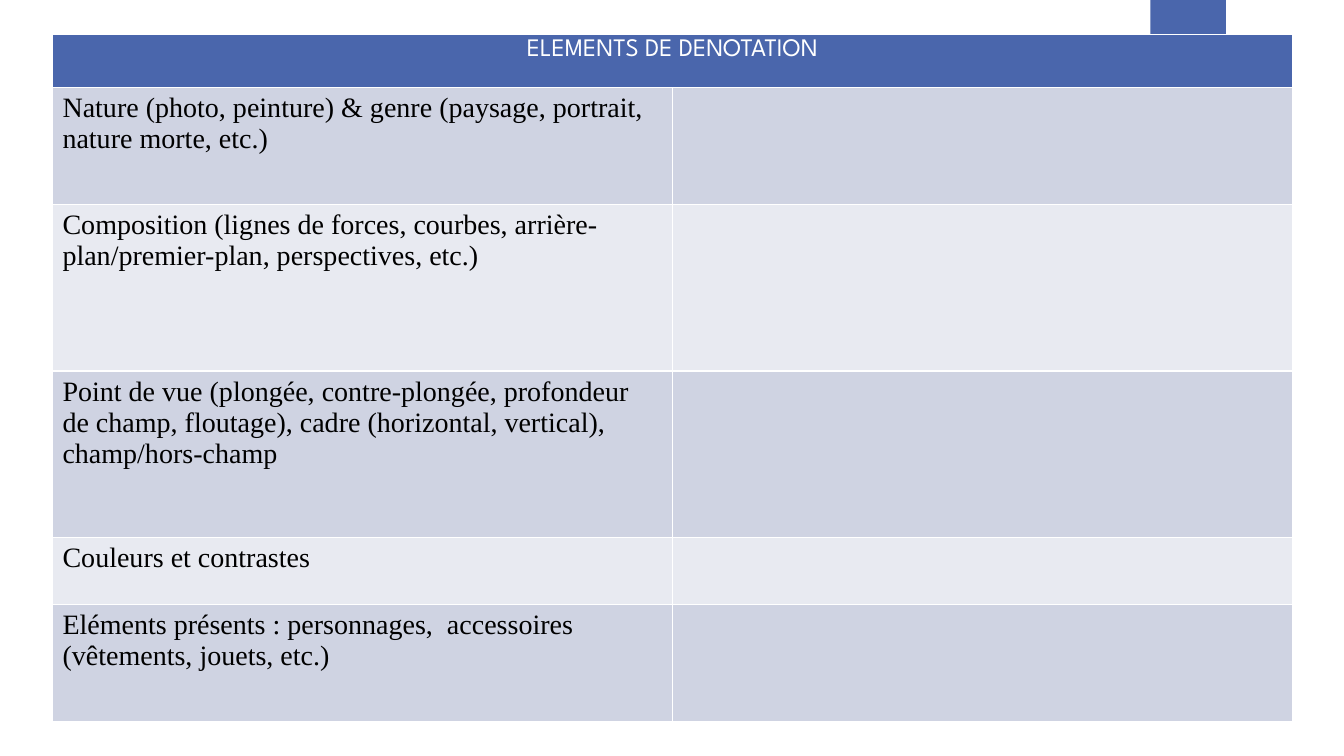
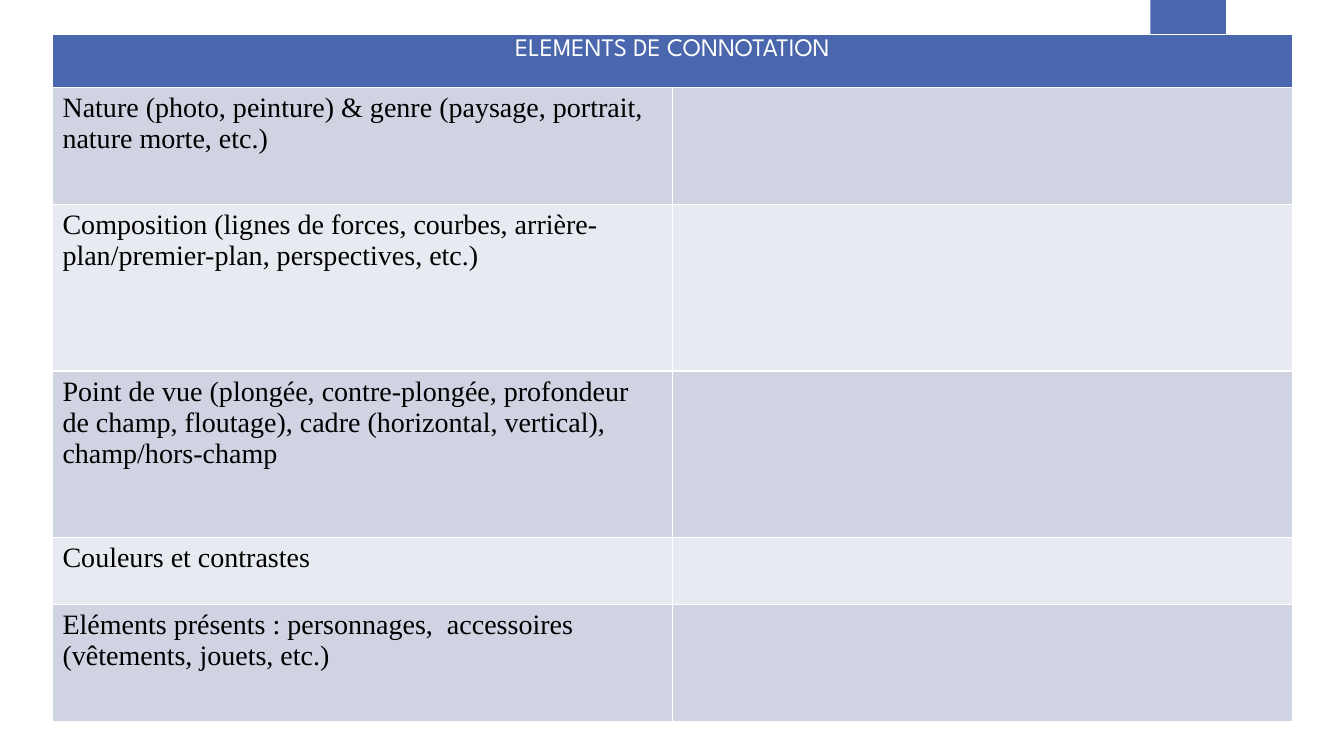
from typing import NamedTuple

from pptx import Presentation
from pptx import util as u
from pptx.dml.color import RGBColor
from pptx.enum import shapes, text

EMU_PER_PX = 9144
BLUE, DARK_BAND, LIGHT_BAND = "4A66AC", "CFD3E2", "E8EAF1"
WHITE, BLACK = "FFFFFF", "000000"
COLUMN_WIDTH = 615
HEADER_HEIGHT = 53


class Criterion(NamedTuple):
    label: str
    height: int


CRITERIA = [
    Criterion("Nature (photo, peinture) & genre (paysage, portrait, nature morte, etc.)", 116),
    Criterion("Composition (lignes de forces, courbes, arrière-plan/premier-plan, perspectives, etc.)", 165),
    Criterion("Point de vue (plongée, contre-plongée, profondeur de champ, floutage), "
              "cadre (horizontal, vertical), champ/hors-champ", 165),
    Criterion("Couleurs et contrastes", 67),
    Criterion("Eléments présents : personnages,  accessoires (vêtements, jouets, etc.)", 116),
]
HEADINGS = ["ELEMENTS DE DENOTATION", "ELEMENTS DE CONNOTATION"]


def px(length: int) -> u.Emu:
    return u.Emu(length * EMU_PER_PX)


def paint(target, color: str) -> None:
    target.fill.solid()
    target.fill.fore_color.rgb = RGBColor.from_string(color)


def write(target, words: str, *, size: int = 20, font: str = "Times New Roman",
          color: str = BLACK, align=text.PP_ALIGN.LEFT) -> None:
    paragraph = target.text_frame.paragraphs[0]
    paragraph.alignment = align
    run = paragraph.add_run()
    run.text = words
    run.font.size = u.Pt(size)
    run.font.name = font
    run.font.bold = False
    run.font.color.rgb = RGBColor.from_string(color)


def add_tab(slide) -> None:
    tab = slide.shapes.add_shape(shapes.MSO_SHAPE.RECTANGLE, px(1141), px(0), px(75), px(125))
    tab.shadow.inherit = False
    paint(tab, BLUE)
    tab.line.fill.background()


def add_grid(slide, heading: str) -> None:
    heights = [HEADER_HEIGHT] + [criterion.height for criterion in CRITERIA]
    grid = slide.shapes.add_table(len(heights), 2, px(52), px(34),
                                  px(2 * COLUMN_WIDTH), px(sum(heights))).table
    for column in grid.columns:
        column.width = px(COLUMN_WIDTH)
    for index, height in enumerate(heights):
        grid.rows[index].height = px(height)
        band = BLUE if index == 0 else DARK_BAND if index % 2 else LIGHT_BAND
        for cell in grid.rows[index].cells:
            paint(cell, band)
    grid.cell(0, 0).merge(grid.cell(0, 1))
    write(grid.cell(0, 0), heading, size=18, font="League Spartan", color=WHITE,
          align=text.PP_ALIGN.CENTER)
    for index, criterion in enumerate(CRITERIA, start=1):
        write(grid.cell(index, 0), criterion.label)


def main() -> None:
    deck = Presentation()
    deck.slide_width, deck.slide_height = px(1333), px(750)
    for heading in HEADINGS:
        slide = deck.slides.add_slide(deck.slide_layouts[6])
        add_tab(slide)
        add_grid(slide, heading)
    deck.save("out.pptx")


if __name__ == "__main__":
    main()
